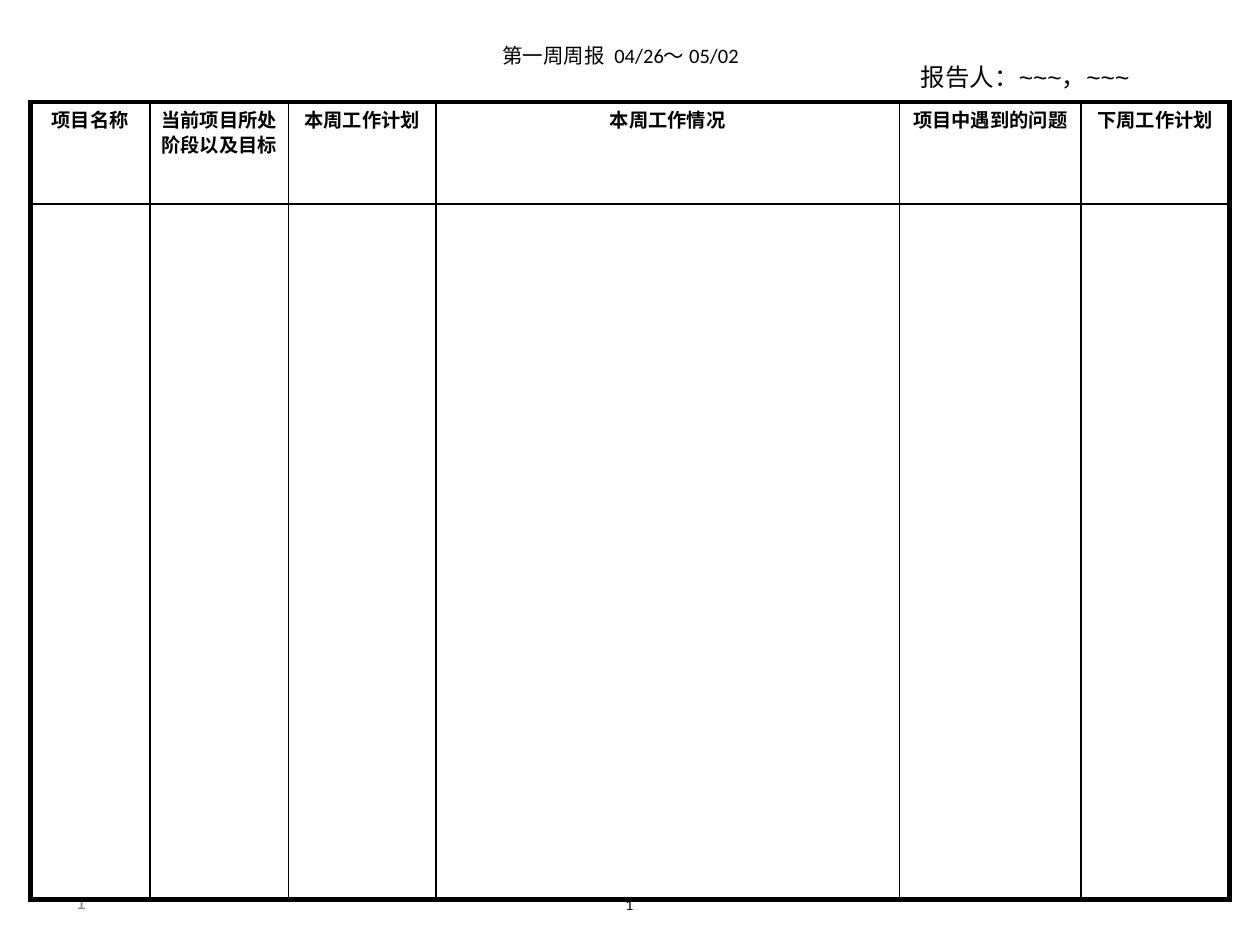
from dataclasses import dataclass

from lxml import etree
from pptx import Presentation
from pptx.dml.color import RGBColor
from pptx.enum.text import MSO_ANCHOR, MSO_AUTO_SIZE, PP_ALIGN
from pptx.oxml.ns import qn
from pptx.util import Inches, Pt

MIDDLE, TOP = MSO_ANCHOR.MIDDLE, MSO_ANCHOR.TOP
LEFT, CENTER = PP_ALIGN.LEFT, PP_ALIGN.CENTER
NO_FIT = MSO_AUTO_SIZE.NONE
TITLE_ONLY = 5


@dataclass(frozen=True)
class Theme:
    black: RGBColor = RGBColor(0x00, 0x00, 0x00)
    grey: RGBColor = RGBColor(0x89, 0x89, 0x89)
    white: RGBColor = RGBColor(0xFF, 0xFF, 0xFF)
    latin: str = "Calibri"
    sans: str = "Arial"
    chinese: str = "Noto Sans CJK SC"
    title_size: float = 11.7
    reporter_size: float = 14
    header_size: float = 11
    number_size: float = 12
    footer_size: float = 9
    thin: float = 1
    thick: float = 3


THEME = Theme()


@dataclass(frozen=True)
class Label:
    text: str
    place: tuple[float, float, float, float]
    size: float
    font: str
    color: RGBColor = THEME.black
    align: PP_ALIGN = CENTER
    anchor: MSO_ANCHOR = TOP
    margins: tuple[float, float] = (0.1, 0.05)


@dataclass(frozen=True)
class Column:
    heading: str
    width: float


TITLE = Label("第一周周报  04/26～ 05/02", (0.51, 0.3, 8.83, 0.28),
              THEME.title_size, THEME.latin, anchor=MIDDLE)
PAGE_NUMBERS = [
    Label("1", (0.5, 6.95, 2.33, 0.4), THEME.number_size, THEME.latin,
          THEME.grey, LEFT, MIDDLE),
    Label("1", (4.62, 7.1, 0.75, 0.21), THEME.footer_size, THEME.latin,
          margins=(0, 0)),
]
REPORTER = Label("报告人：~~~，~~~", (6.68, 0.44, 2.91, 0.34),
                 THEME.reporter_size, THEME.sans)
COLUMNS = [
    Column("项目名称", 0.95),
    Column("当前项目所处阶段以及目标", 1.1),
    Column("本周工作计划", 1.17),
    Column("本周工作情况", 3.68),
    Column("项目中遇到的问题", 1.44),
    Column("下周工作计划", 1.18),
]
ROW_HEIGHTS = [0.81, 5.52]
TABLE_LEFT, TABLE_TOP = 0.24, 0.81
CELL_MARGIN = 0.04


def set_values(target, values: dict) -> None:
    for name, value in values.items():
        setattr(target, name, value)


def write_text(para, text: str, size: float, font: str, color: RGBColor,
               align: PP_ALIGN, bold: bool = False) -> None:
    para.alignment = align
    span = para.add_run()
    span.text = text
    set_values(span.font, {"size": Pt(size), "name": font, "bold": bold})
    span.font.color.rgb = color
    east_asian = etree.Element(qn("a:ea"), typeface=THEME.chinese)
    span.font._element.find(qn("a:latin")).addnext(east_asian)


def fill_label(box, label: Label) -> None:
    names = ("left", "top", "width", "height")
    set_values(box, dict(zip(names, map(Inches, label.place))))
    side, end = map(Inches, label.margins)
    set_values(box.text_frame, {
        "word_wrap": True, "auto_size": NO_FIT,
        "vertical_anchor": label.anchor,
        "margin_left": side, "margin_right": side,
        "margin_top": end, "margin_bottom": end,
    })
    write_text(box.text_frame.paragraphs[0], label.text, label.size,
               label.font, label.color, label.align)


def add_label(page, label: Label) -> None:
    fill_label(page.shapes.add_textbox(*map(Inches, label.place)), label)


def set_borders(cell, outer_edges: dict[str, bool]) -> None:
    properties = cell._tc.get_or_add_tcPr()
    for edge, is_outer in outer_edges.items():
        width = Pt(THEME.thick if is_outer else THEME.thin)
        line = etree.SubElement(properties, qn(f"a:ln{edge}"), w=str(width))
        fill = etree.SubElement(line, qn("a:solidFill"))
        etree.SubElement(fill, qn("a:srgbClr"), val=str(THEME.black))


def add_report_table(page) -> None:
    widths = [column.width for column in COLUMNS]
    last_row, last_column = len(ROW_HEIGHTS) - 1, len(COLUMNS) - 1
    frame = page.shapes.add_table(
        len(ROW_HEIGHTS), len(COLUMNS), Inches(TABLE_LEFT), Inches(TABLE_TOP),
        Inches(sum(widths)), Inches(sum(ROW_HEIGHTS)))
    table = frame.table
    set_values(table, {"first_row": False, "horz_banding": False})
    for column, width in zip(table.columns, widths):
        column.width = Inches(width)
    for row, height in zip(table.rows, ROW_HEIGHTS):
        row.height = Inches(height)

    margin = Inches(CELL_MARGIN)
    for row_index, row in enumerate(table.rows):
        for column_index, cell in enumerate(row.cells):
            set_borders(cell, {
                "L": column_index == 0, "R": column_index == last_column,
                "T": row_index == 0, "B": row_index == last_row,
            })
            cell.fill.solid()
            cell.fill.fore_color.rgb = THEME.white
            set_values(cell, {
                "margin_left": margin, "margin_right": margin,
                "margin_top": margin, "margin_bottom": margin,
            })
    for cell, column in zip(table.rows[0].cells, COLUMNS):
        para = cell.text_frame.paragraphs[0]
        para.line_spacing = 0.9
        write_text(para, column.heading, THEME.header_size, THEME.chinese,
                   THEME.black, CENTER, bold=True)


def main() -> None:
    deck = Presentation()
    set_values(deck, {"slide_width": Inches(10), "slide_height": Inches(7.5)})
    page = deck.slides.add_slide(deck.slide_layouts[TITLE_ONLY])
    fill_label(page.shapes.title, TITLE)
    for number in PAGE_NUMBERS:
        add_label(page, number)
    add_report_table(page)
    add_label(page, REPORTER)
    deck.save("out.pptx")


if __name__ == "__main__":
    main()
